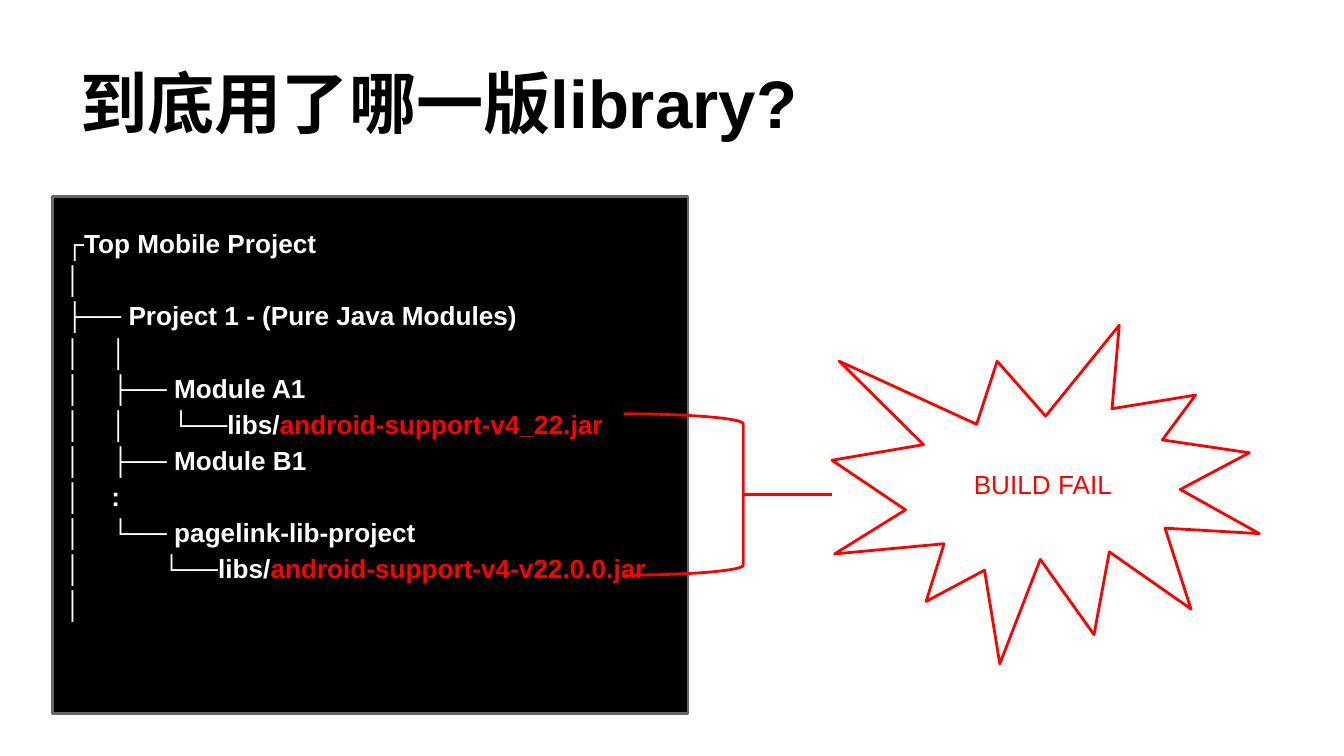
"""Build a slide showing a project tree whose two library versions break the build."""
from lxml.etree import SubElement
from pptx import Presentation
from pptx.dml.color import RGBColor
from pptx.enum.shapes import MSO_CONNECTOR as CONN, MSO_SHAPE as SHAPE
from pptx.enum.text import MSO_ANCHOR as ANCHOR, PP_ALIGN as ALIGN
from pptx.oxml.ns import qn
from pptx.util import Inches, Pt

FONT = "Arial"
COLORS = {"black": "000000", "white": "FFFFFF", "gray": "666666", "red": "FF0000"}
TITLE = "到底用了哪一版library?"
VERDICT = "BUILD FAIL"
BRANCH_TABS = [0.34, 0.79]
LAST_LIB_TABS = [0.72]
TREE = [
    (BRANCH_TABS, [("┌Top Mobile Project", "white")]),
    (BRANCH_TABS, [("│", "white")]),
    (BRANCH_TABS, [("├── Project 1 - (Pure Java Modules)", "white")]),
    (BRANCH_TABS, [("│\t│", "white")]),
    (BRANCH_TABS, [("│\t├── Module A1", "white")]),
    (BRANCH_TABS, [("│\t│\t└──libs/", "white"), ("android-support-v4_22.jar", "red")]),
    (BRANCH_TABS, [("│\t├── Module B1", "white")]),
    (BRANCH_TABS, [("│\t:", "white")]),
    (BRANCH_TABS, [("│\t└── pagelink-lib-project", "white")]),
    (LAST_LIB_TABS, [("│\t└──libs/", "white"), ("android-support-v4-v22.0.0.jar", "red")]),
    (BRANCH_TABS, [("│", "white")]),
]


def rgb(name):
    return RGBColor.from_string(COLORS[name])


def style_line(line, color):
    line.color.rgb = rgb(color)
    line.width = Pt(1.5)


def add_shape(slide, kind, box, line, fill=None):
    sp = slide.shapes.add_shape(kind, *map(Inches, box))
    sp.shadow.inherit = False
    if fill:
        sp.fill.solid()
        sp.fill.fore_color.rgb = rgb(fill)
    else:
        sp.fill.background()
    style_line(sp.line, line)
    return sp


def setup_frame(sp, anchor, bottom=0.1):
    tf = sp.text_frame
    tf.word_wrap = True
    tf.vertical_anchor = anchor
    tf.margin_left = tf.margin_right = tf.margin_top = Inches(0.1)
    tf.margin_bottom = Inches(bottom)
    return tf


def add_run(p, text, size, color, bold=False):
    r = p.add_run()
    r.text = text
    r.font.name = FONT
    r.font.size = Pt(size)
    r.font.bold = bold
    r.font.color.rgb = rgb(color)
    SubElement(r.font._element, qn("a:ea"), typeface=FONT)


def set_tabs(p, stops):
    tabs = SubElement(p._p.get_or_add_pPr(), qn("a:tabLst"))
    for stop in stops:
        SubElement(tabs, qn("a:tab"), pos=str(Inches(stop)), algn="l")


def add_title(slide):
    sp = slide.shapes.add_textbox(*map(Inches, (0.5, 0.22, 9, 0.94)))
    tf = setup_frame(sp, ANCHOR.BOTTOM)
    add_run(tf.paragraphs[0], TITLE, 36, "black", True)


def add_tree(slide):
    sp = add_shape(slide, SHAPE.RECTANGLE, (0.39, 1.46, 4.73, 3.85), "gray", "black")
    tf = setup_frame(sp, ANCHOR.MIDDLE, bottom=0.6)
    for i, (stops, row) in enumerate(TREE):
        p = tf.add_paragraph() if i else tf.paragraphs[0]
        p.alignment = ALIGN.LEFT
        p.line_spacing = 1.15
        set_tabs(p, stops)
        for text, color in row:
            add_run(p, text, 14, color, True)


def add_verdict(slide):
    add_shape(slide, SHAPE.RIGHT_BRACKET, (4.64, 3.08, 0.89, 1.2), "red")
    link = slide.shapes.add_connector(CONN.STRAIGHT, *map(Inches, (5.53, 3.68, 6.19, 3.68)))
    style_line(link.line, "red")
    SubElement(link._element.spPr, qn("a:effectLst"))
    burst = add_shape(slide, SHAPE.EXPLOSION1, (6.19, 2.42, 3.18, 2.52), "red")
    p = setup_frame(burst, ANCHOR.MIDDLE).paragraphs[0]
    p.alignment = ALIGN.CENTER
    add_run(p, VERDICT, 14, "red")


def main():
    prs = Presentation()
    prs.slide_width = Inches(10)
    prs.slide_height = prs.slide_width * 9 // 16
    slide = prs.slides.add_slide(prs.slide_layouts[6])
    add_title(slide)
    add_tree(slide)
    add_verdict(slide)
    prs.save("out.pptx")


if __name__ == "__main__":
    main()
